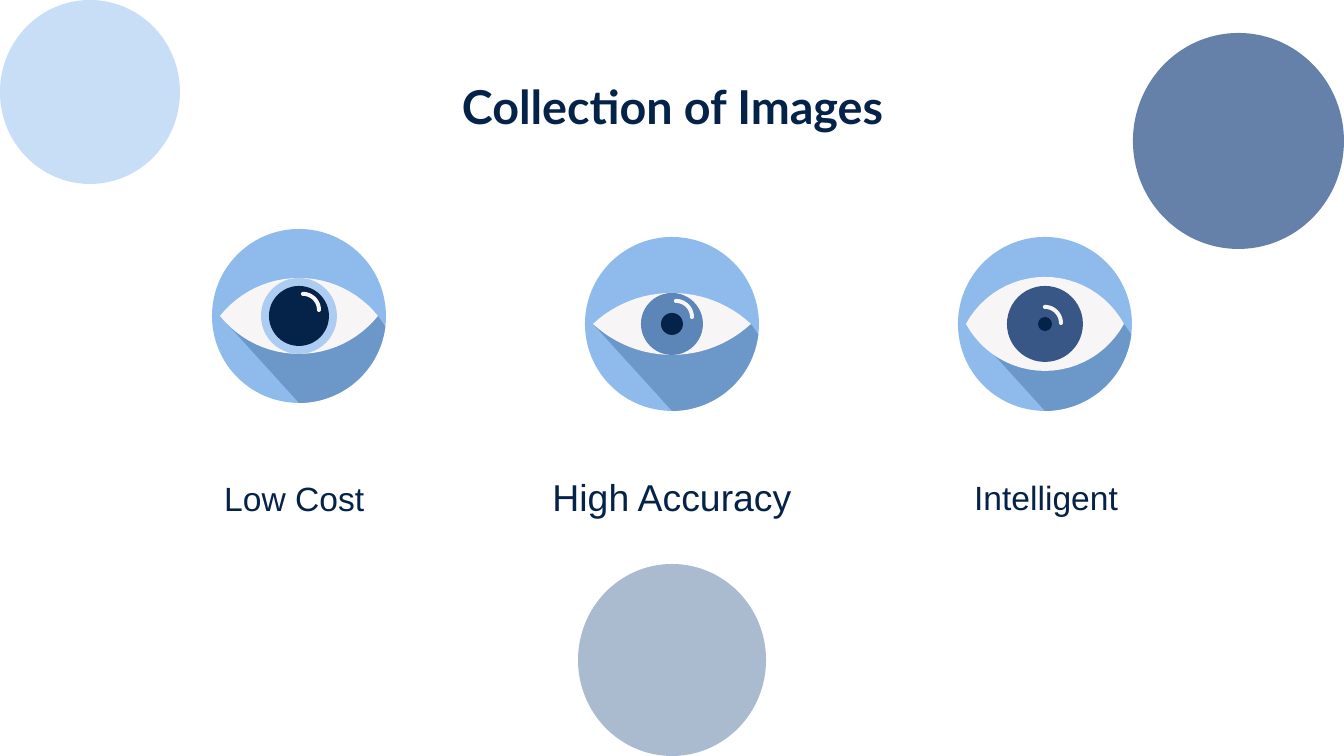
import math
from typing import NamedTuple

import pptx
import pptx.dml.color
import pptx.enum.shapes
import pptx.enum.text
import pptx.oxml.ns
import pptx.util
from lxml import etree

EMU_PER_PX = 914400 / 134.4
NAVY, WHITE = "052249", "F7F5F5"
SKY, SHADE = "8FBAEC", "6C97C9"
EYE_RADIUS, LENS_HALF_WIDTH = 87, 79
GLINT_RADIUS, GLINT_HALF_WIDTH = 16, 2

LEFT = pptx.enum.text.PP_ALIGN.LEFT
CENTER = pptx.enum.text.PP_ALIGN.CENTER

Point = tuple[float, float]


class Disc(NamedTuple):
    left: int
    top: int
    width: int
    height: int
    fill: str
    opacity: int = 100


class Label(NamedTuple):
    text: str
    left: int
    top: int
    height: int
    size: int
    align: pptx.enum.text.PP_ALIGN


class Eye(NamedTuple):
    x: int
    y: int
    lens_half_height: int
    iris_radius: int
    iris_fill: str
    pupil_radius: int
    glint_x: int
    glint_y: int


DISCS = [
    Disc(0, 0, 180, 184, "7DB0EB", 42),
    Disc(578, 564, 188, 192, "AABBD0"),
    Disc(1133, 33, 211, 216, "6580A9"),
]
LABELS = [
    Label("Low Cost", 211, 420, 157, 18, LEFT),
    Label("High Accuracy", 508, 454, 86, 20, CENTER),
    Label("Intelligent", 882, 454, 86, 18, CENTER),
]
EYES = [
    Eye(299, 316, 38, 38, "ACCCF1", 30, 4, -6),
    Eye(672, 324, 31, 31, "5C86B7", 11, 4, -7),
    Eye(1045, 324, 47, 38, "385787", 7, 0, -1),
]


def px(length: float) -> pptx.util.Emu:
    return pptx.util.Emu(round(length * EMU_PER_PX))


def color(value: str) -> pptx.dml.color.RGBColor:
    return pptx.dml.color.RGBColor.from_string(value)


def paint(shape, fill: str, opacity: int = 100) -> None:
    shape.shadow.inherit = False
    shape.fill.solid()
    shape.fill.fore_color.rgb = color(fill)
    shape.line.fill.background()
    if opacity < 100:
        tag = pptx.oxml.ns.qn("a:srgbClr")
        clr = next(shape.fill._xPr.iter(tag))
        etree.SubElement(clr, pptx.oxml.ns.qn("a:alpha"), val=str(opacity * 1000))


def draw_disc(shapes, disc: Disc) -> None:
    oval = shapes.add_shape(
        pptx.enum.shapes.MSO_SHAPE.OVAL,
        px(disc.left), px(disc.top), px(disc.width), px(disc.height),
    )
    paint(oval, disc.fill, disc.opacity)


def draw_circle(shapes, x: int, y: int, radius: int, fill: str) -> None:
    draw_disc(shapes, Disc(x - radius, y - radius, 2 * radius, 2 * radius, fill))


def draw_outline(shapes, points: list[Point], fill: str) -> None:
    start, *rest = [(px(x), px(y)) for x, y in points]
    builder = shapes.build_freeform(*start)
    builder.add_line_segments(rest, close=True)
    paint(builder.convert_to_shape(), fill)


def arc(x: float, y: float, radius: float, start: float, end: float,
        steps: int = 24) -> list[Point]:
    """Points along an arc; degrees run clockwise from the right."""
    angles = [math.radians(start + (end - start) * i / steps) for i in range(steps + 1)]
    return [(x + radius * math.cos(a), y + radius * math.sin(a)) for a in angles]


def lens(x: int, y: int, half_height: int) -> list[Point]:
    """Two mirrored circle arcs that meet at the corners of the eye."""
    radius = (LENS_HALF_WIDTH ** 2 + half_height ** 2) / (2 * half_height)
    drop = radius - half_height
    half_angle = math.degrees(math.asin(LENS_HALF_WIDTH / radius))
    upper = arc(x, y + drop, radius, -90 - half_angle, -90 + half_angle)
    lower = arc(x, y - drop, radius, 90 - half_angle, 90 + half_angle)
    return upper + lower[1:-1]


def glint(x: int, y: int) -> list[Point]:
    """A quarter ring with round ends."""
    radius, half = GLINT_RADIUS, GLINT_HALF_WIDTH
    return (
        arc(x, y, radius + half, -90, 0)
        + arc(x + radius, y, half, 0, 180, 8)
        + arc(x, y, radius - half, 0, -90)
        + arc(x, y - radius, half, 90, 270, 8)
    )


def draw_eye(page, eye: Eye) -> None:
    shapes = page.shapes.add_group_shape().shapes
    x, y = eye.x, eye.y
    shade = [(x - LENS_HALF_WIDTH, y), *arc(x, y, EYE_RADIUS, 90, 7),
             (x + LENS_HALF_WIDTH, y)]
    draw_circle(shapes, x, y, EYE_RADIUS, SKY)
    draw_outline(shapes, shade, SHADE)
    draw_outline(shapes, lens(x, y, eye.lens_half_height), WHITE)
    draw_circle(shapes, x, y, eye.iris_radius, eye.iris_fill)
    draw_circle(shapes, x, y, eye.pupil_radius, NAVY)
    draw_outline(shapes, glint(x + eye.glint_x, y + eye.glint_y), WHITE)


def write(box, text: str, *, size: int, font: str = "Arial", bold: bool = False,
          align: pptx.enum.text.PP_ALIGN = CENTER) -> None:
    frame = box.text_frame
    frame.word_wrap = True
    frame.auto_size = pptx.enum.text.MSO_AUTO_SIZE.NONE
    frame.vertical_anchor = pptx.enum.text.MSO_ANCHOR.MIDDLE
    frame.margin_left = frame.margin_right = pptx.util.Inches(0.1)
    frame.margin_top = frame.margin_bottom = pptx.util.Inches(0.1)
    para = frame.paragraphs[0]
    para.alignment = align
    span = para.add_run()
    span.text = text
    span.font.name = font
    span.font.size = pptx.util.Pt(size)
    span.font.bold = bold
    span.font.color.rgb = color(NAVY)


def main() -> None:
    deck = pptx.Presentation()
    deck.slide_width, deck.slide_height = px(1344), px(756)
    page = deck.slides.add_slide(deck.slide_layouts.get_by_name("Title Only"))
    for disc in DISCS:
        draw_disc(page.shapes, disc)

    title = page.shapes.title
    title.left, title.top, title.width, title.height = px(332), px(79), px(681), px(54)
    write(title, "Collection of Images", size=25, font="Lato", bold=True)

    for label in LABELS:
        box = page.shapes.add_textbox(px(label.left), px(label.top), px(328), px(label.height))
        write(box, label.text, size=label.size, align=label.align)
    for eye in EYES:
        draw_eye(page, eye)
    deck.save("out.pptx")


if __name__ == "__main__":
    main()
